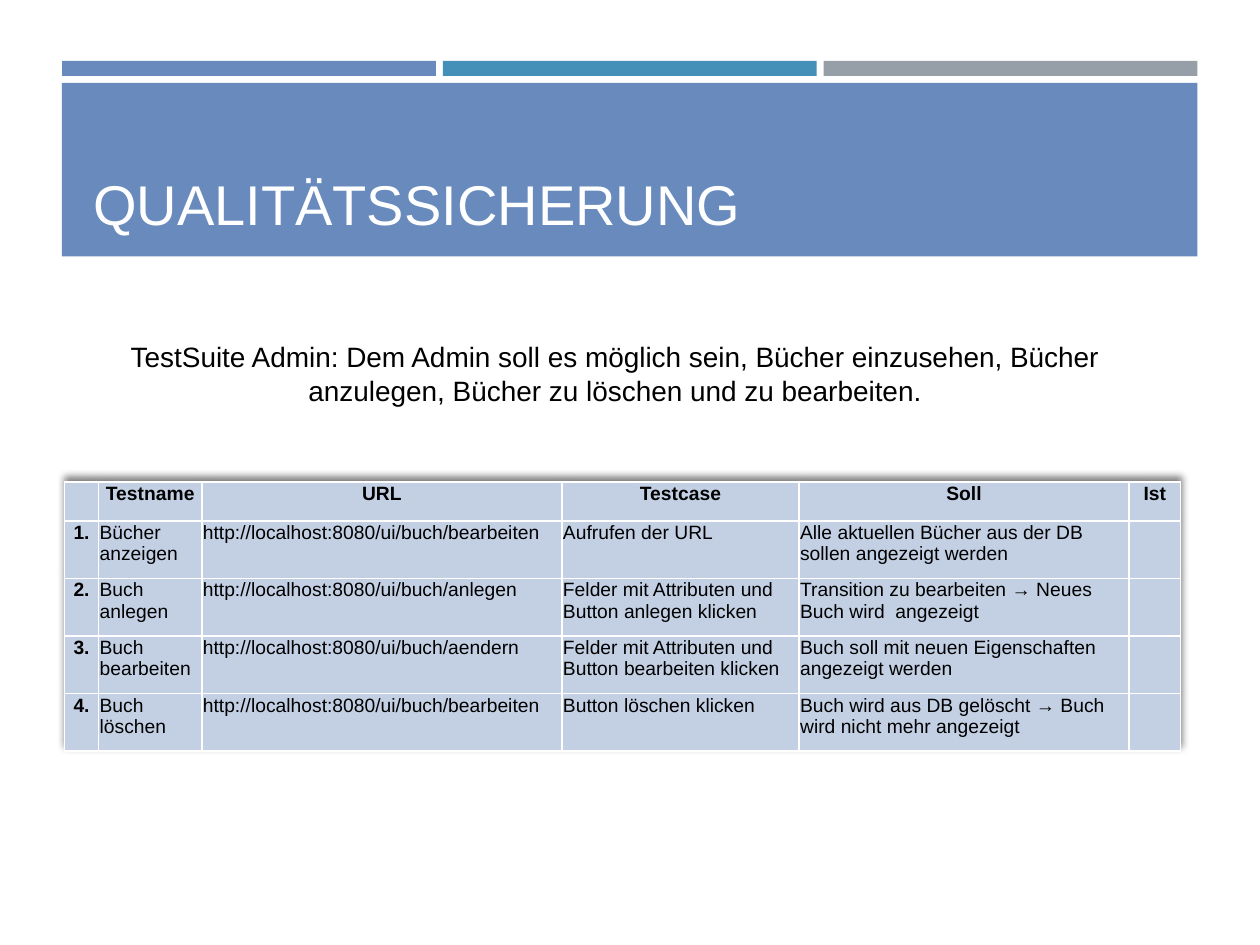
from lxml.etree import SubElement
from pptx import Presentation
from pptx.dml.color import RGBColor
from pptx.enum.shapes import MSO_SHAPE as Shape
from pptx.enum.text import MSO_ANCHOR as Anchor, PP_ALIGN as Align
from pptx.oxml.ns import qn
from pptx.util import Cm, Pt

FONT = "Arial"
COLORS = {
    "blue": "688ABC", "teal": "4590B8", "gray": "969FA7",
    "cell": "C3D0E4", "white": "FFFFFF", "black": "000000",
}
TITLE = "QUALITÄTSSICHERUNG"
INTRO = ("TestSuite Admin: Dem Admin soll es möglich sein, Bücher einzusehen, "
         "Bücher anzulegen, Bücher zu löschen und zu bearbeiten.")
URL = "http://localhost:8080/ui/buch/"
ROWS = [
    ("", "Testname", "URL", "Testcase", "Soll", "Ist"),
    ("1.", "Bücher anzeigen", URL + "bearbeiten", "Aufrufen der URL",
     "Alle aktuellen Bücher aus der DB sollen angezeigt werden", ""),
    ("2.", "Buch anlegen", URL + "anlegen",
     "Felder mit Attributen und Button anlegen klicken",
     "Transition zu bearbeiten → Neues Buch wird  angezeigt", ""),
    ("3.", "Buch bearbeiten", URL + "aendern",
     "Felder mit Attributen und Button bearbeiten klicken",
     "Buch soll mit neuen Eigenschaften angezeigt werden", ""),
    ("4.", "Buch löschen", URL + "bearbeiten", "Button löschen klicken",
     "Buch wird aus DB gelöscht → Buch wird nicht mehr angezeigt", ""),
]
COLUMN_WIDTHS = [0.69, 2.08, 7.26, 4.78, 6.65, 1.04]
HEADER_HEIGHT, ROW_HEIGHT = 0.73, 1.16
BAND_LEFT, BAND_WIDTH, BAR_GAP = 1.25, 22.89, 0.14


def color(name):
    return RGBColor.from_string(COLORS[name])


def add_rectangle(slide, left, top, width, height, fill):
    shape = slide.shapes.add_shape(
        Shape.RECTANGLE, Cm(left), Cm(top), Cm(width), Cm(height))
    shape.shadow.inherit = False
    shape.fill.solid()
    shape.fill.fore_color.rgb = color(fill)
    shape.line.fill.background()


def write(frame, text, size, ink, align=Align.LEFT, bold=False):
    paragraph = frame.paragraphs[0]
    paragraph.alignment = align
    run = paragraph.add_run()
    run.text = text
    run.font.name, run.font.size, run.font.bold = FONT, Pt(size), bold
    run.font.color.rgb = color(ink)


def add_text(slide, box, anchor, *text_style):
    frame = slide.shapes.add_textbox(*map(Cm, box)).text_frame
    frame.word_wrap = True
    frame.vertical_anchor = anchor
    write(frame, *text_style)


def add_solid(parent, name):
    fill = SubElement(parent, qn("a:solidFill"))
    return SubElement(fill, qn("a:srgbClr"), val=COLORS[name])


def style_cell(cell):
    cell.margin_left = cell.margin_right = cell.margin_top = Cm(0.02)
    cell.margin_bottom = 0
    properties = cell._tc.get_or_add_tcPr()
    for side in ("lnL", "lnR", "lnT", "lnB"):
        add_solid(SubElement(properties, qn("a:" + side), w=str(Pt(1))), "white")
    cell.fill.solid()
    cell.fill.fore_color.rgb = color("cell")


def add_table_shadow(table):
    effects = SubElement(table._tbl.tblPr, qn("a:effectLst"))
    shadow = SubElement(effects, qn("a:outerShdw"), blurRad=str(Pt(4)),
                        dist=str(Pt(3)), dir="16200000", rotWithShape="0")
    shade = SubElement(shadow, qn("a:srgbClr"), val=COLORS["black"])
    SubElement(shade, qn("a:alpha"), val="50000")


def add_test_table(slide):
    heights = [HEADER_HEIGHT] + [ROW_HEIGHT] * (len(ROWS) - 1)
    table = slide.shapes.add_table(
        len(ROWS), len(COLUMN_WIDTHS), Cm(1.3), Cm(9.72),
        Cm(sum(COLUMN_WIDTHS)), Cm(sum(heights))).table
    for column, width in zip(table.columns, COLUMN_WIDTHS):
        column.width = Cm(width)
    for row, height in zip(table.rows, heights):
        row.height = Cm(height)
    for r, texts in enumerate(ROWS):
        for c, text in enumerate(texts):
            cell = table.cell(r, c)
            style_cell(cell)
            if text:
                heading = r == 0 or c == 0
                write(cell.text_frame, text, 11, "black",
                      Align.CENTER if heading else Align.LEFT, heading)
    add_table_shadow(table)


def main():
    presentation = Presentation()
    presentation.slide_width, presentation.slide_height = Cm(25.4), Cm(19.05)
    slide = presentation.slides.add_slide(presentation.slide_layouts[6])

    # Three accent bars above the title band
    bars = ("blue", "teal", "gray")
    bar_width = (BAND_WIDTH - BAR_GAP * (len(bars) - 1)) / len(bars)
    for i, fill in enumerate(bars):
        add_rectangle(slide, BAND_LEFT + i * (bar_width + BAR_GAP), 1.23,
                      bar_width, 0.3, fill)

    # Title band
    add_rectangle(slide, BAND_LEFT, 1.67, BAND_WIDTH, 3.5, "blue")
    add_text(slide, (1.63, 1.9, 22.2, 3), Anchor.BOTTOM, TITLE, 32, "white")

    # Test cases and their introduction
    add_test_table(slide)
    add_text(slide, (1.9, 6.73, 21, 1.63), Anchor.TOP,
             INTRO, 16, "black", Align.CENTER)

    presentation.save("out.pptx")


if __name__ == "__main__":
    main()
